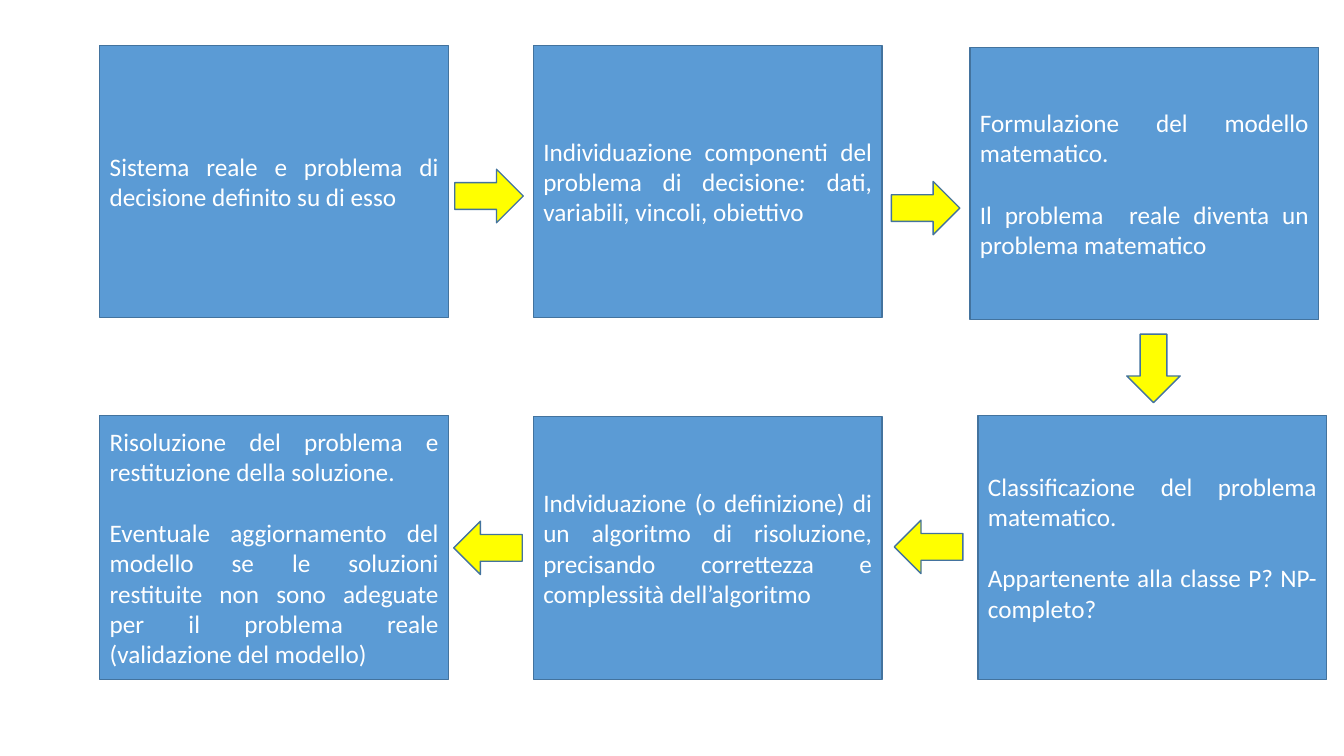
import pptx
import pptx.dml.color
import pptx.enum.shapes
import pptx.enum.text
import pptx.util

Inches, Pt = pptx.util.Inches, pptx.util.Pt
SHAPE = pptx.enum.shapes.MSO_SHAPE


def rgb(value):
    return pptx.dml.color.RGBColor.from_string(value)


class FlowSlide:
    BOX_FILL, ARROW_FILL, LINE, TEXT = "5B9BD5", "FFFF00", "43739E", "FFFFFF"
    BOX_WIDTH = 3.46
    ARROW_SIZE = (0.68, 0.53)
    FONT = {"name": "Calibri", "size": Pt(18)}
    PARAGRAPH_GAP = Pt(22)

    def __init__(self, prs):
        self.s = prs.slides.add_slide(prs.slide_layouts[6])

    def shape(self, kind, left, top, width, height, fill):
        sp = self.s.shapes.add_shape(
            kind, *(Inches(v) for v in (left, top, width, height)))
        sp.shadow.inherit = False
        sp.fill.solid()
        sp.fill.fore_color.rgb = rgb(fill)
        sp.line.color.rgb = rgb(self.LINE)
        sp.line.width = Pt(1)
        return sp

    def box(self, left, top, height, *paragraphs):
        sp = self.shape(SHAPE.RECTANGLE, left, top, self.BOX_WIDTH, height,
                        self.BOX_FILL)
        tf = sp.text_frame
        tf.word_wrap = True
        tf.vertical_anchor = pptx.enum.text.MSO_ANCHOR.MIDDLE
        for i, text in enumerate(paragraphs):
            p = tf.add_paragraph() if i else tf.paragraphs[0]
            p.alignment = pptx.enum.text.PP_ALIGN.JUSTIFY
            if i:
                p.space_before = self.PARAGRAPH_GAP
            r = p.add_run()
            r.text = text
            for name, value in self.FONT.items():
                setattr(r.font, name, value)
            r.font.color.rgb = rgb(self.TEXT)

    def arrow(self, left, top, rotation=0):
        sp = self.shape(SHAPE.RIGHT_ARROW, left, top, *self.ARROW_SIZE,
                        self.ARROW_FILL)
        sp.rotation = rotation


def main():
    prs = pptx.Presentation()
    prs.slide_width, prs.slide_height = Inches(13.33), Inches(7.5)
    flow = FlowSlide(prs)

    steps = [
        (0.99, 0.45, 2.7,
         "Sistema reale e problema di decisione definito su di esso"),
        (5.29, 0.45, 2.7,
         "Individuazione componenti del problema di decisione: dati, "
         "variabili, vincoli, obiettivo"),
        (9.62, 0.47, 2.7,
         "Formulazione del modello matematico.",
         "Il problema  reale diventa un problema matematico"),
        (9.7, 4.12, 2.62,
         "Classificazione del problema matematico.",
         "Appartenente alla classe P? NP-completo?"),
        (5.29, 4.13, 2.61,
         "Indviduazione (o definizione) di un algoritmo di risoluzione, "
         "precisando correttezza e complessità dell’algoritmo"),
        (0.99, 4.12, 2.62,
         "Risoluzione del problema e restituzione della soluzione.",
         "Eventuale aggiornamento del modello se le soluzioni restituite "
         "non sono adeguate per il problema reale (validazione del modello)"),
    ]
    for step in steps:
        flow.box(*step)

    for left, top, rotation in [(4.51, 1.68, 0), (8.84, 1.8, 0),
                                (11.1, 3.39, 90),
                                (8.87, 5.16, 180), (4.5, 5.17, 180)]:
        flow.arrow(left, top, rotation)

    prs.save("out.pptx")


if __name__ == "__main__":
    main()
